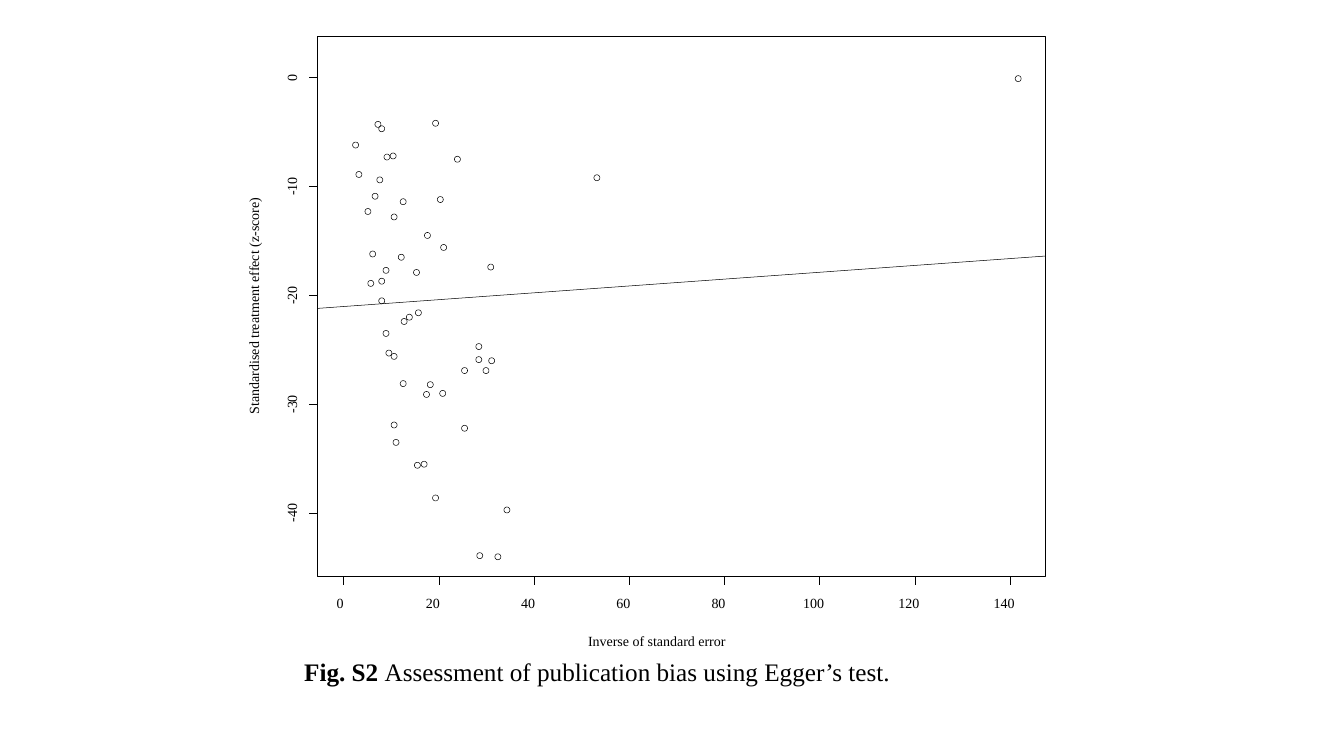
from pptx import Presentation
from pptx.dml.color import RGBColor
from pptx.enum.shapes import MSO_CONNECTOR, MSO_SHAPE
from pptx.enum.text import MSO_AUTO_SIZE, PP_ALIGN
from pptx.oxml.ns import qn
from pptx.util import Pt
from lxml.etree import SubElement

BLACK = RGBColor(0x00, 0x00, 0x00)

# Plot frame: left, top, width, height
FRAME = (226.8, 25.9, 519.8, 385.9)
TICK = 6.2
DOT = 4.3

# Inverse of standard error, z-score
DATA = [
    (8.0, -18.7), (53.2, -9.2), (7.6, -9.4), (23.9, -7.5), (10.4, -7.2),
    (15.7, -21.6), (141.7, -0.1), (19.3, -4.2), (17.6, -14.5), (3.2, -8.9),
    (2.5, -6.2), (21.0, -15.6), (6.6, -10.9), (7.2, -4.3), (12.1, -16.5),
    (5.1, -12.3), (10.6, -25.6), (9.1, -7.3), (8.0, -20.5), (18.2, -28.2),
    (20.8, -29.0), (10.6, -31.9), (10.6, -12.8), (8.0, -4.7), (28.4, -24.7),
    (28.4, -25.9), (13.8, -22.0), (19.3, -38.6), (25.4, -26.9), (28.6, -43.9),
    (8.9, -23.5), (12.7, -22.4), (17.4, -29.1), (25.4, -32.2), (29.9, -26.9),
    (15.3, -17.9), (32.4, -44.0), (15.5, -35.6), (30.9, -17.4), (12.5, -28.1),
    (34.3, -39.7), (6.1, -16.2), (8.9, -17.7), (11.0, -33.5), (31.1, -26.0),
    (9.5, -25.3), (16.9, -35.5), (12.5, -11.4), (20.3, -11.2), (5.7, -18.9),
]


def to_x(val):
    return 245.5 + 3.4 * val


def to_y(val):
    return 55.4 - 7.78 * val


class Plot:
    font = "Times New Roman"
    color = BLACK
    width = 0.38

    def __init__(self, slide):
        self.shapes = slide.shapes

    def line(self, x1, y1, x2, y2):
        line = self.shapes.add_connector(
            MSO_CONNECTOR.STRAIGHT, Pt(x1), Pt(y1), Pt(x2), Pt(y2))
        line.line.color.rgb = self.color
        line.line.width = Pt(self.width)
        SubElement(line._element.spPr, qn("a:effectLst"))

    def shape(self, kind, left, top, width, height):
        shape = self.shapes.add_shape(
            kind, Pt(left), Pt(top), Pt(width), Pt(height))
        shape.shadow.inherit = False
        shape.fill.background()
        shape.line.color.rgb = self.color
        shape.line.width = Pt(self.width)

    def text(self, left, top, width, height, runs, size):
        box = self.shapes.add_textbox(
            Pt(left), Pt(top), Pt(width), Pt(height))
        frame = box.text_frame
        frame.word_wrap = True
        frame.auto_size = MSO_AUTO_SIZE.SHAPE_TO_FIT_TEXT
        for words, bold in runs:
            run = frame.paragraphs[0].add_run()
            run.text = words
            run.font.name = self.font
            run.font.size = Pt(size)
            run.font.bold = bold
            run.font.color.rgb = self.color
        return box

    def label(self, x, y, width, words, turn=0):
        """Small text centred on a point."""
        high = 12.2
        box = self.text(x - width / 2, y - high / 2, width, high,
                        [(words, False)], 10)
        box.rotation = turn
        frame = box.text_frame
        frame.word_wrap = False
        frame.margin_left = frame.margin_right = 0
        frame.margin_top = frame.margin_bottom = 0
        frame.paragraphs[0].alignment = PP_ALIGN.CENTER


def main():
    deck = Presentation()
    deck.slide_width, deck.slide_height = Pt(960), Pt(540)
    plot = Plot(deck.slides.add_slide(deck.slide_layouts[6]))
    left, top, width, height = FRAME
    base = top + height

    # Horizontal axis
    plot.line(to_x(0), base, to_x(140), base)
    for val in range(0, 141, 20):
        x = to_x(val)
        plot.line(x, base, x, base + TICK)
        shift = 4.3 if val else 2.5
        plot.label(x - shift, 430.9, 5 * len(str(val)), str(val))

    # Vertical axis
    plot.line(left, to_y(-40), left, to_y(0))
    for val in range(-40, 1, 10):
        y = to_y(val)
        plot.line(left, y, left - TICK, y)
        plot.label(208.4, y, 13.6 if val else 5, str(val), 270)

    # Frame and axis titles
    plot.shape(MSO_SHAPE.RECTANGLE, *FRAME)
    plot.label(469.1, 457.6, 100, "Inverse of standard error")
    plot.label(181.1, 218.5, 157.7,
               "Standardised treatment effect (z-score)", 270)

    # Studies
    for prec, score in DATA:
        plot.shape(MSO_SHAPE.OVAL, to_x(prec) - DOT / 2,
                   to_y(score) - DOT / 2, DOT, DOT)

    # Regression line
    plot.line(left, 220.3, left + width, 182.9)

    # Caption
    plot.text(210.2, 465.1, 504.7, 28.8, [
        ("Fig. S2 ", True),
        ("Assessment of publication bias using Egger’s test.", False),
    ], 18)

    deck.save("out.pptx")


if __name__ == "__main__":
    main()
